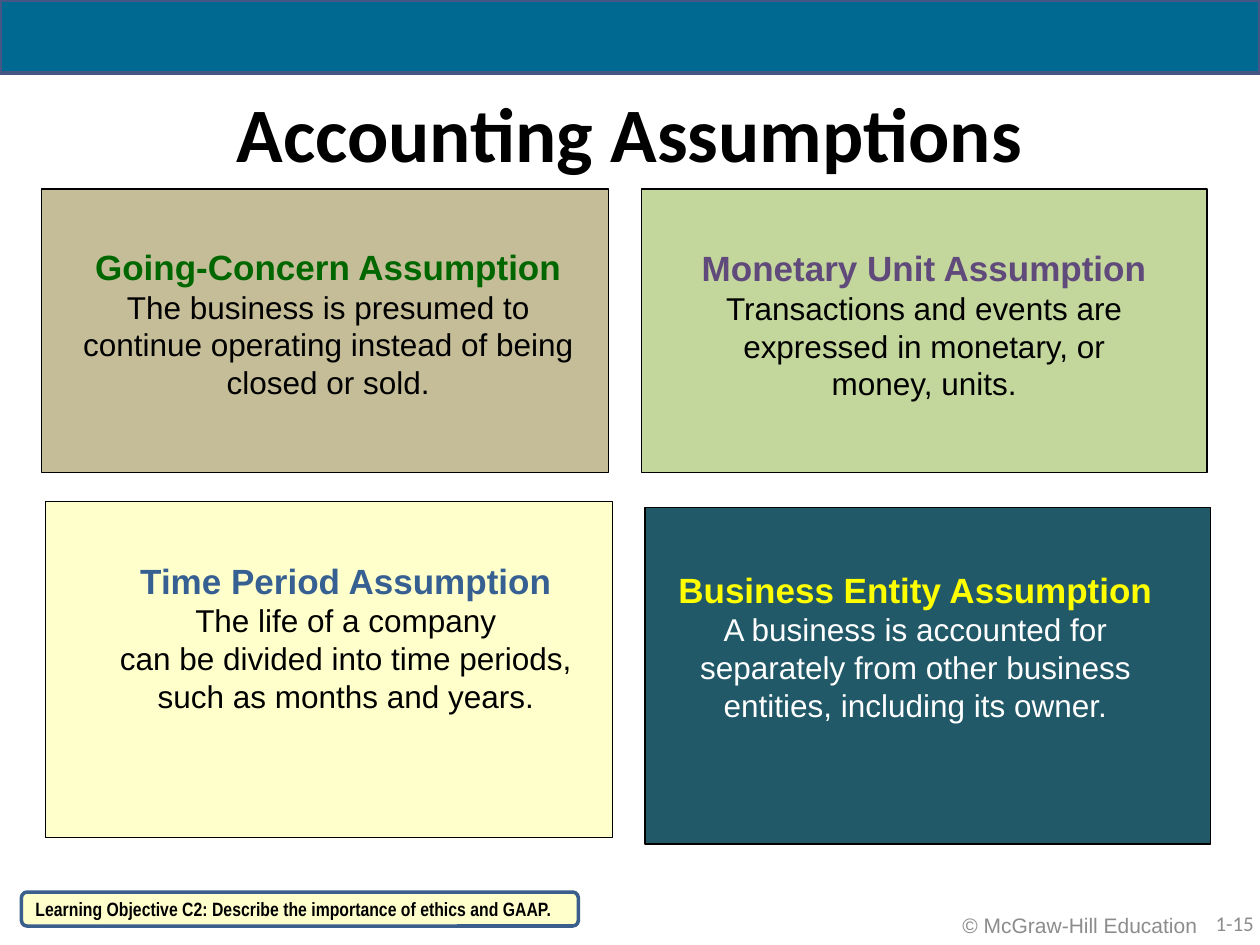
"""Build the Accounting Assumptions slide."""
from pptx import Presentation
from pptx.dml.color import RGBColor
from pptx.enum.shapes import MSO_SHAPE
from pptx.enum.text import MSO_ANCHOR, PP_ALIGN
from pptx.util import Inches, Pt

RECT, ROUNDED = MSO_SHAPE.RECTANGLE, MSO_SHAPE.ROUNDED_RECTANGLE
TOP, MIDDLE = MSO_ANCHOR.TOP, MSO_ANCHOR.MIDDLE
LEFT, CENTER, RIGHT = PP_ALIGN.LEFT, PP_ALIGN.CENTER, PP_ALIGN.RIGHT

WIDTH, HEIGHT = Inches(10), Inches(7.5)
COLS, ROWS = 100, 75

COLORS = {
    "black": "000000", "white": "FFFFFF", "grey": "8C8C8C",
    "banner": "006991", "banner_line": "475785",
    "tan": "C4BD97", "lime": "C3D69B", "cream": "FFFFCC", "teal": "215968",
    "green": "006600", "purple": "604A7B", "blue": "376092",
    "yellow": "FFFF00", "tag_line": "3A5F8C",
}

# Each card: panel cell, text cell, fill, heading colour, body colour, paragraphs
CARDS = [
    ((50.9, 15, 44.9, 22.5), (51.7, 19.1, 43.3, 13.5), "lime", "purple", "black",
     ["Monetary Unit Assumption",
      "Transactions and events are expressed in monetary, or",
      "money, units."]),
    ((51.2, 40.3, 44.9, 26.7), (51.4, 44.6, 42.5, 13.1), "teal", "yellow", "white",
     ["Business Entity Assumption",
      "A business is accounted for separately from other business "
      "entities, including its owner."]),
    ((3.6, 39.8, 45, 26.7), (4.1, 43.9, 46.7, 13.5), "cream", "blue", "black",
     ["Time Period Assumption",
      "The life of a company",
      "can be divided into time periods,",
      "such as months and years."]),
    ((3.3, 15, 45, 22.5), (4.1, 19, 43.9, 13.5), "tan", "green", "black",
     ["Going-Concern Assumption",
      "The business is presumed to continue operating instead of being "
      "closed or sold."]),
]


def rgb(name):
    """Return the named colour."""
    return RGBColor.from_string(COLORS[name])


def place(col, row, cols, rows):
    """Turn a grid cell into left, top, width and height."""
    dx, dy = WIDTH / COLS, HEIGHT / ROWS
    return [round(v) for v in (col * dx, row * dy, cols * dx, rows * dy)]


def style(p, size, color, font, bold=False, align=LEFT):
    """Format a paragraph and its runs."""
    p.alignment = align
    for r in p.runs:
        r.font.size, r.font.name, r.font.bold = Pt(size), font, bold
        r.font.color.rgb = rgb(color)


def add_panel(shapes, cell, fill, line, weight, kind=RECT):
    """Add a filled and outlined shape."""
    sp = shapes.add_shape(kind, *place(*cell))
    sp.shadow.inherit = False
    sp.fill.solid()
    sp.fill.fore_color.rgb = rgb(fill)
    sp.line.color.rgb = rgb(line)
    sp.line.width = Pt(weight)
    return sp


def add_text(shapes, cell, text, anchor=TOP):
    """Add a wrapping text box and return its text frame."""
    tf = shapes.add_textbox(*place(*cell)).text_frame
    tf.word_wrap = True
    tf.vertical_anchor = anchor
    tf.text = text
    return tf


def add_card(s, panel, cell, fill, head, body, lines):
    """Add a grouped panel with a heading and body text."""
    shapes = s.shapes.add_group_shape().shapes
    add_panel(shapes, panel, fill, "black", 0.75)
    tf = add_text(shapes, cell, "\n".join(lines))
    for i, p in enumerate(tf.paragraphs):
        style(p, 18 if i else 20, body if i else head, "Arial", i == 0, CENTER)


def add_tag(s, cell, text):
    """Add the rounded learning objective tag."""
    tf = add_panel(s.shapes, cell, "cream", "tag_line", 2, ROUNDED).text_frame
    tf.word_wrap = True
    tf.vertical_anchor = MIDDLE
    tf.text = text
    style(tf.paragraphs[0], 11, "black", "Arial Narrow", True)


def main():
    """Build and save the slide."""
    prs = Presentation()
    prs.slide_width, prs.slide_height = WIDTH, HEIGHT
    s = prs.slides.add_slide(prs.slide_layouts[6])

    add_panel(s.shapes, (0, 0, 100, 5.8), "banner", "banner_line", 2.25)
    tf = add_text(s.shapes, (5, 4.2, 90, 12.5), "Accounting Assumptions", MIDDLE)
    style(tf.paragraphs[0], 44, "black", "Calibri", True, CENTER)

    for card in CARDS:
        add_card(s, *card)

    add_tag(s, (1.7, 70.8, 44.2, 2.7),
            "Learning Objective C2: Describe the importance of ethics and GAAP.")
    tf = add_text(s.shapes, (75.4, 71.9, 24.5, 2.5), "© McGraw-Hill Education")
    style(tf.paragraphs[0], 12, "grey", "Arial")
    tf = add_text(s.shapes, (77.2, 71.3, 23.3, 4), "1-15", MIDDLE)
    style(tf.paragraphs[0], 12, "grey", "Calibri", align=RIGHT)

    prs.save("out.pptx")


if __name__ == "__main__":
    main()
